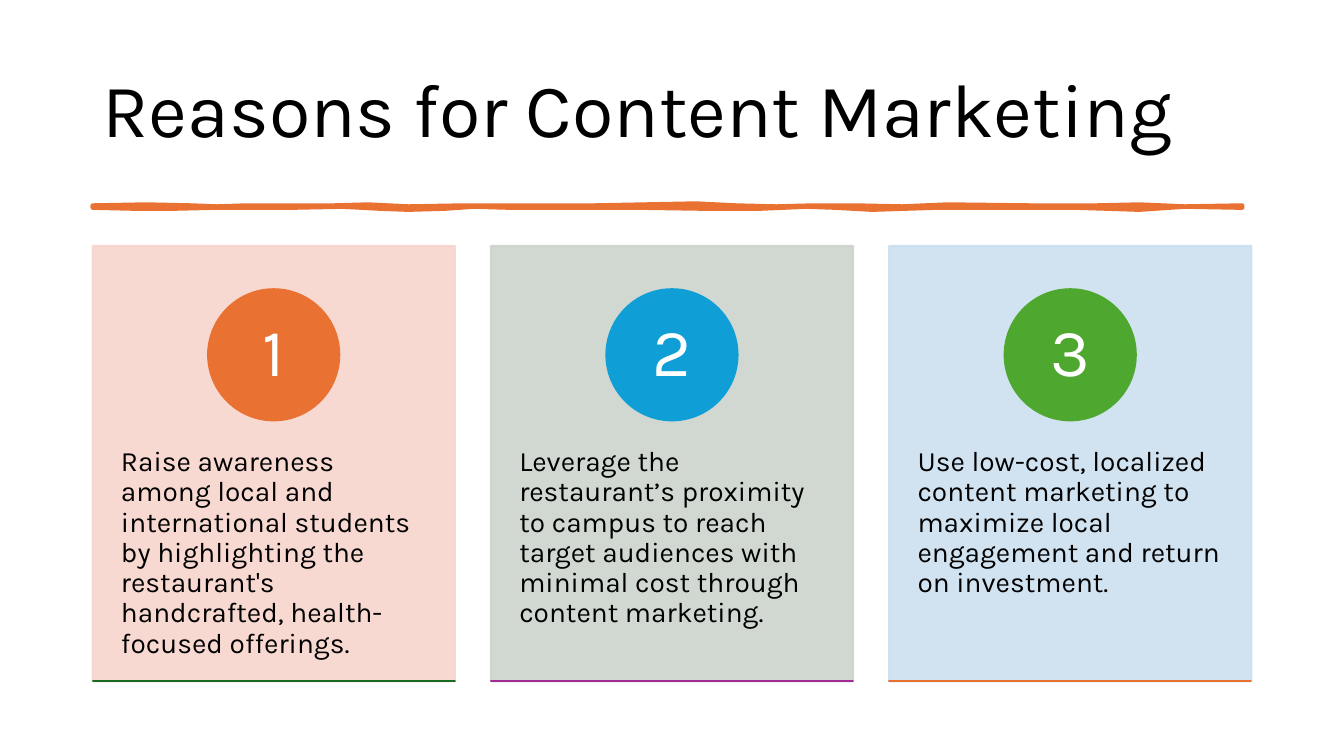
import pptx
import pptx.util
import pptx.dml.color
import pptx.enum.shapes
import pptx.enum.text
import pptx.oxml.ns
import lxml.etree

Inch = pptx.util.Inches
Pt = pptx.util.Pt
RGB = pptx.dml.color.RGBColor
Shape = pptx.enum.shapes.MSO_SHAPE
Align = pptx.enum.text.PP_ALIGN
Anchor = pptx.enum.text.MSO_ANCHOR

BLACK = RGB(0x00, 0x00, 0x00)
WHITE = RGB(0xFF, 0xFF, 0xFF)
ORANGE = RGB(0xE9, 0x71, 0x32)
BLUE = RGB(0x0F, 0x9E, 0xD5)
GREEN = RGB(0x4E, 0xA7, 0x2E)
FOREST = RGB(0x19, 0x6B, 0x24)
PURPLE = RGB(0xA0, 0x2B, 0x93)
PINK = RGB(0xF7, 0xD5, 0xCE)
SAGE = RGB(0xCC, 0xD4, 0xCD)
SKY = RGB(0xCC, 0xDF, 0xEF)

# Grid: three cards of equal width with equal gaps
LEFT, TOP = 0.92, 2.44
CARD, GAP, TALL = 3.59, 0.36, 4.32
DISC, BADGE = 1.3, 0.92

deck = pptx.Presentation()
deck.slide_width, deck.slide_height = Inch(13.33), Inch(7.5)
slide = deck.slides.add_slide(deck.slide_layouts[6])
shapes = slide.shapes


def paint(shape, color, width=1.5, alpha=None):
    """Give fill and line one colour, with an optional opacity in percent."""
    shape.shadow.inherit = False
    shape.fill.solid()
    shape.fill.fore_color.rgb = color
    shape.line.color.rgb = color
    shape.line.width = Pt(width)
    if alpha:
        tag = pptx.oxml.ns.qn("a:alpha")
        for node in shape.element.spPr.iter(pptx.oxml.ns.qn("a:srgbClr")):
            lxml.etree.SubElement(node, tag).set("val", str(alpha * 1000))


def write(text, box, size, color, inset, anchor, align=Align.LEFT):
    """Add a wrapped text box; inset is the side and the top margin."""
    frame = shapes.add_textbox(*map(Inch, box)).text_frame
    frame.word_wrap = True
    frame.vertical_anchor = anchor
    frame.margin_left = frame.margin_right = Inch(inset[0])
    frame.margin_top = frame.margin_bottom = Inch(inset[1])
    para = frame.paragraphs[0]
    para.alignment = align
    para.line_spacing = 0.9
    run = para.add_run()
    run.text = text
    run.font.name = "Karla"
    run.font.size = Pt(size)
    run.font.color.rgb = color


write("Reasons for Content Marketing", (LEFT, 0.4, 11.5, 1.45), 54, BLACK,
      (0.1, 0.05), Anchor.MIDDLE)

# Brush stroke: upper edge rightwards, lower edge back
upper = [(0.92, 2.04), (1.45, 2.03), (1.9, 2.04), (2.15, 2.05), (2.44, 2.04),
         (3.31, 2.04), (3.65, 2.03), (4.05, 2.05), (4.6, 2.04), (5.48, 2.04),
         (5.89, 2.04), (6.4, 2.03), (6.9, 2.02), (7.3, 2.04), (7.7, 2.05),
         (8.06, 2.04), (8.48, 2.04), (8.95, 2.05), (9.4, 2.03), (10.23, 2.04),
         (10.87, 2.04), (11.3, 2.03), (11.75, 2.05), (12.32, 2.04)]
lower = [(12.32, 2.06), (11.75, 2.05), (11.3, 2.08), (10.68, 2.06),
         (9.81, 2.06), (9.28, 2.06), (8.65, 2.08), (8.29, 2.06), (8.0, 2.05),
         (7.53, 2.07), (7.0, 2.07), (6.35, 2.06), (5.7, 2.06), (5.06, 2.06),
         (4.7, 2.05), (4.41, 2.07), (4.05, 2.08), (3.77, 2.07), (3.4, 2.05),
         (2.89, 2.06), (2.13, 2.06), (1.71, 2.07), (1.35, 2.07), (0.92, 2.06)]
edge = [(Inch(x), Inch(y)) for x, y in upper + lower]
pen = shapes.build_freeform(*edge[0])
pen.add_line_segments(edge[1:], close=True)
paint(pen.convert_to_shape(), ORANGE, 3.25)

cards = [
    (PINK, ORANGE, FOREST,
     "Raise awareness among local and international students by highlighting "
     "the restaurant's handcrafted, health-focused offerings."),
    (SAGE, BLUE, PURPLE,
     "Leverage the restaurant’s proximity to campus to reach target audiences "
     "with minimal cost through content marketing."),
    (SKY, GREEN, ORANGE,
     "Use low-cost, localized content marketing to maximize local engagement "
     "and return on investment."),
]
for col, (back, disc, rule, text) in enumerate(cards):
    left = LEFT + col * (CARD + GAP)
    mid = left + CARD / 2
    hub = TOP + 0.43 + DISC / 2
    parts = [
        (Shape.RECTANGLE, (left, TOP, CARD, TALL), back, 90),
        (Shape.OVAL, (mid - DISC / 2, hub - DISC / 2, DISC, DISC), disc, None),
        (Shape.RECTANGLE, (left, TOP + TALL, CARD, 0), rule, None),
    ]
    for kind, box, color, alpha in parts:
        paint(shapes.add_shape(kind, *map(Inch, box)), color, alpha=alpha)
    write(text, (left, 4.08, CARD, 0.6 * TALL), 20, BLACK, (0.28, 0.36),
          Anchor.TOP)
    write(str(col + 1), (mid - BADGE / 2, hub - BADGE / 2, BADGE, BADGE), 48,
          WHITE, (0.1, 0.01), Anchor.MIDDLE, Align.CENTER)

deck.save("out.pptx")
